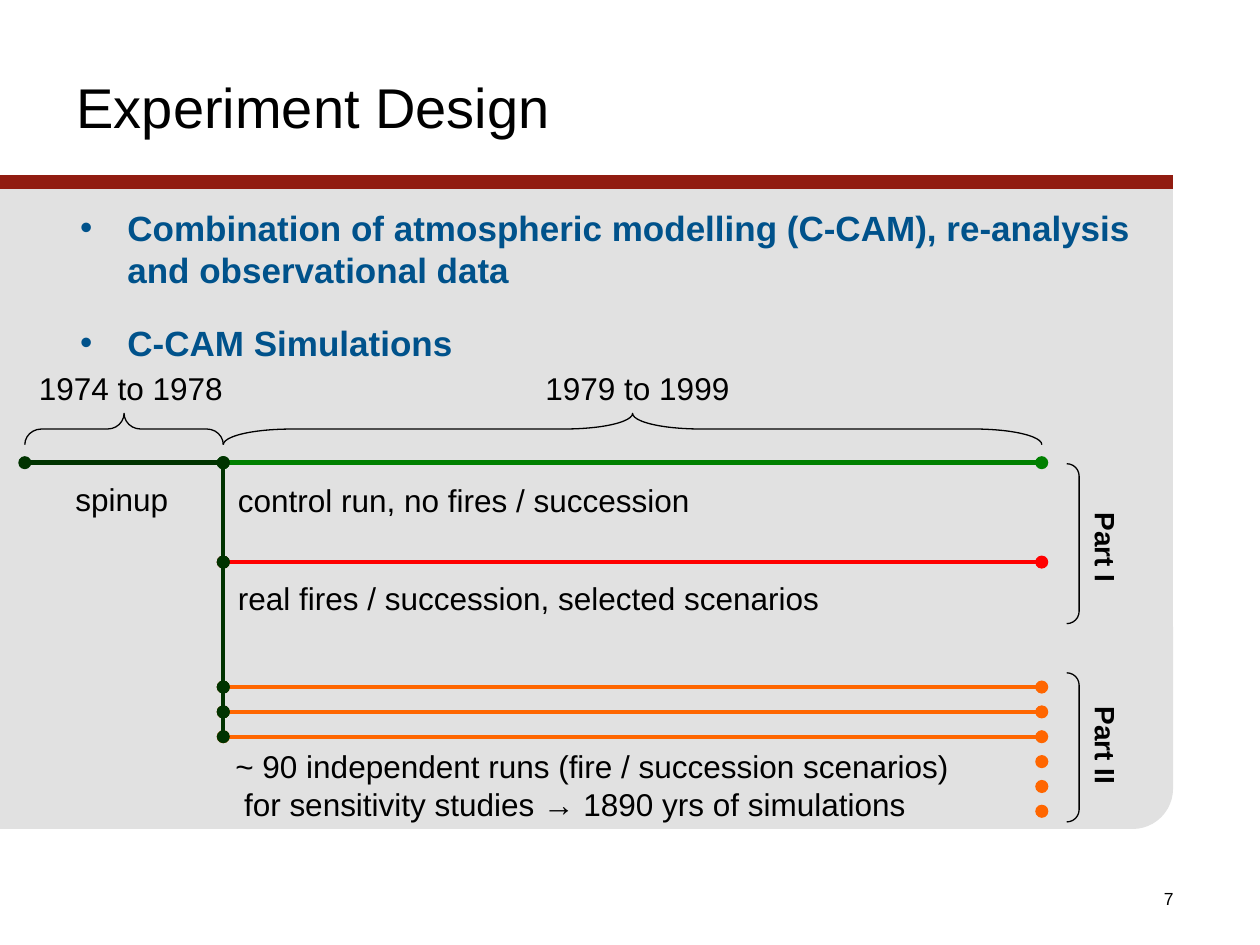
"""Build the Experiment Design slide with its simulation timeline."""
from lxml.etree import SubElement
from pptx import Presentation
from pptx.dml.color import RGBColor
from pptx.enum.shapes import MSO_CONNECTOR, MSO_SHAPE as Shape
from pptx.enum.text import MSO_ANCHOR as Anchor, PP_ALIGN as Align
from pptx.oxml.ns import qn
from pptx.util import Pt

BLACK = RGBColor(0x00, 0x00, 0x00)
PANEL = RGBColor(0xE1, 0xE1, 0xE1)
BAND = RGBColor(0x91, 0x1C, 0x11)
BLUE = RGBColor(0x00, 0x52, 0x8B)
DARK_GREEN = RGBColor(0x00, 0x33, 0x00)
GREEN = RGBColor(0x00, 0x80, 0x00)
RED = RGBColor(0xFF, 0x00, 0x00)
ORANGE = RGBColor(0xFF, 0x66, 0x00)

START, BRANCH, END = 14.2, 127.6, 595.3
CONTROL_Y, FIRES_Y, SCENARIO_Y, SCENARIO_STEP = 264.4, 321.2, 392.6, 14.2
DOT_SIZE = 7.5
BRACE_TOP, BRACE_DEPTH = 236.2, 17.9
PART_LEFT, PART_WIDTH, PART_HEIGHT = 618.5, 72, 26.6


def apply_format(target, values):
    for name, value in values.items():
        setattr(target, name, value)


def add_shape(slide, kind, left, top, width, height, color, filled=True):
    shape = slide.shapes.add_shape(kind, Pt(left), Pt(top), Pt(width), Pt(height))
    shape.shadow.inherit = False
    if filled:
        shape.fill.solid()
        shape.fill.fore_color.rgb = color
        shape.line.fill.background()
    else:
        shape.fill.background()
        shape.line.color.rgb = color
        shape.line.width = Pt(0.75)
    return shape


def add_line(slide, start, end, color, width=2.5, ovals=True):
    points = [Pt(value) for value in (*start, *end)]
    line = slide.shapes.add_connector(MSO_CONNECTOR.STRAIGHT, *points)
    line.line.color.rgb = color
    line.line.width = Pt(width)
    properties = line.element.spPr
    if ovals:
        for tag in ("a:headEnd", "a:tailEnd"):
            SubElement(properties.find(qn("a:ln")), qn(tag), type="oval")
    SubElement(properties, qn("a:effectLst"))


def add_brace(slide, left, right):
    length = right - left
    middle_x = (left + right) / 2
    middle_y = BRACE_TOP + BRACE_DEPTH / 2
    brace = add_shape(slide, Shape.LEFT_BRACE, middle_x - BRACE_DEPTH / 2,
                      middle_y - length / 2, BRACE_DEPTH, length, BLACK, filled=False)
    brace.rotation = 90
    brace.adjustments[0] = length / BRACE_DEPTH / 12


def add_bracket(slide, top, height):
    bracket = add_shape(slide, Shape.RIGHT_BRACKET, 609.6, top, 7.1, height,
                        BLACK, filled=False)
    bracket.adjustments[0] = 1


def add_bullet(paragraph):
    properties = paragraph._p.get_or_add_pPr()
    properties.set("marL", str(Pt(34.2)))
    properties.set("indent", str(Pt(-27)))
    color = SubElement(properties, qn("a:buClr"))
    SubElement(color, qn("a:srgbClr"), val=str(BLUE))
    SubElement(properties, qn("a:buFont"), typeface="Arial")
    SubElement(properties, qn("a:buChar"), char="•")


def add_text(slide, lines, left, top, width, height, size=18, color=BLACK, bold=False,
             bullets=False, indent=0, gap=0, anchor=Anchor.TOP, alignment=Align.LEFT):
    box = slide.shapes.add_textbox(Pt(left), Pt(top), Pt(width), Pt(height))
    frame = box.text_frame
    apply_format(frame, {"word_wrap": True, "vertical_anchor": anchor})
    for index, line in enumerate(lines):
        paragraph = frame.paragraphs[0] if index == 0 else frame.add_paragraph()
        paragraph.text = line
        paragraph.alignment = alignment
        if bullets:
            add_bullet(paragraph)
        if index and gap:
            paragraph.space_before = Pt(gap)
        if index and indent:
            paragraph._p.get_or_add_pPr().set("marL", str(Pt(indent)))
        apply_format(paragraph.font, {"name": "Arial", "size": Pt(size), "bold": bold})
        paragraph.font.color.rgb = color
    return box


def add_part_label(slide, label, top):
    left = PART_LEFT - (PART_WIDTH - PART_HEIGHT) / 2
    box_top = top + (PART_WIDTH - PART_HEIGHT) / 2
    box = add_text(slide, [label], left, box_top, PART_WIDTH, PART_HEIGHT,
                   size=16, bold=True)
    box.rotation = 90


def add_background(slide):
    add_shape(slide, Shape.RECTANGLE, 0, 107.3, 670.3, 313.9, PANEL)
    add_shape(slide, Shape.ROUNDED_RECTANGLE, 239.8, 335.5, 430.5, 138.2, PANEL)
    add_shape(slide, Shape.RECTANGLE, 0, 197.3, 298, 276.4, PANEL)
    add_line(slide, (0, 104.2), (670.3, 104.2), BAND, width=8, ovals=False)


def add_headings(slide):
    add_text(slide, ["7"], 527.8, 504, 149.8, 36, size=10, alignment=Align.RIGHT)
    add_text(slide, ["Combination of atmospheric modelling (C-CAM), re-analysis "
                     "and observational data", "C-CAM Simulations"],
             31.5, 114.6, 650.2, 382.3, size=20, color=BLUE, bold=True, bullets=True,
             gap=17.3)
    add_text(slide, ["Experiment Design"], 36.7, 12.2, 641.5, 97.2, size=32,
             anchor=Anchor.MIDDLE)


def add_timeline(slide):
    scenario_rows = [SCENARIO_Y + SCENARIO_STEP * index for index in range(6)]
    run_rows, dot_rows = scenario_rows[:3], scenario_rows[3:]
    runs = [(CONTROL_Y, GREEN), (FIRES_Y, RED), *((row, ORANGE) for row in run_rows)]
    for row, color in runs:
        add_line(slide, (BRANCH, row), (END, row), color)
    add_line(slide, (START, CONTROL_Y), (BRANCH, CONTROL_Y), DARK_GREEN)
    rows = [row for row, _ in runs]
    for upper, lower in zip(rows, rows[1:]):
        add_line(slide, (BRANCH, lower), (BRANCH, upper), DARK_GREEN)
    for row in dot_rows:
        add_shape(slide, Shape.OVAL, END - DOT_SIZE / 2, row - DOT_SIZE / 2,
                  DOT_SIZE, DOT_SIZE, ORANGE)
    add_brace(slide, START, BRANCH)
    add_brace(slide, BRANCH, END)
    add_bracket(slide, 265, 91.4)
    add_bracket(slide, 384.5, 85.2)


def add_labels(slide):
    labels = [
        ("1974 to 1978", 15.1, 207.4, 128),
        ("1979 to 1999", 304.6, 207.4, 128),
        ("spinup", 36, 270.7, 76),
        ("control run, no fires / succession", 128.9, 271.4, 284),
        ("real fires / succession, selected scenarios", 128.9, 327.6, 358),
    ]
    for label, left, top, width in labels:
        add_text(slide, [label], left, top, width, 28.8)
    add_text(slide, ["~ 90 independent runs (fire / succession scenarios)",
                     "for sensitivity studies → 1890 yrs of simulations"],
             127.4, 423.4, 434, 50.4, indent=5)
    add_part_label(slide, "Part I", 285.8)
    add_part_label(slide, "Part II", 396.7)


def main():
    presentation = Presentation()
    apply_format(presentation, {"slide_width": Pt(720), "slide_height": Pt(540)})
    slide = presentation.slides.add_slide(presentation.slide_layouts[6])
    add_background(slide)
    add_headings(slide)
    add_timeline(slide)
    add_labels(slide)
    presentation.save("out.pptx")


if __name__ == "__main__":
    main()
